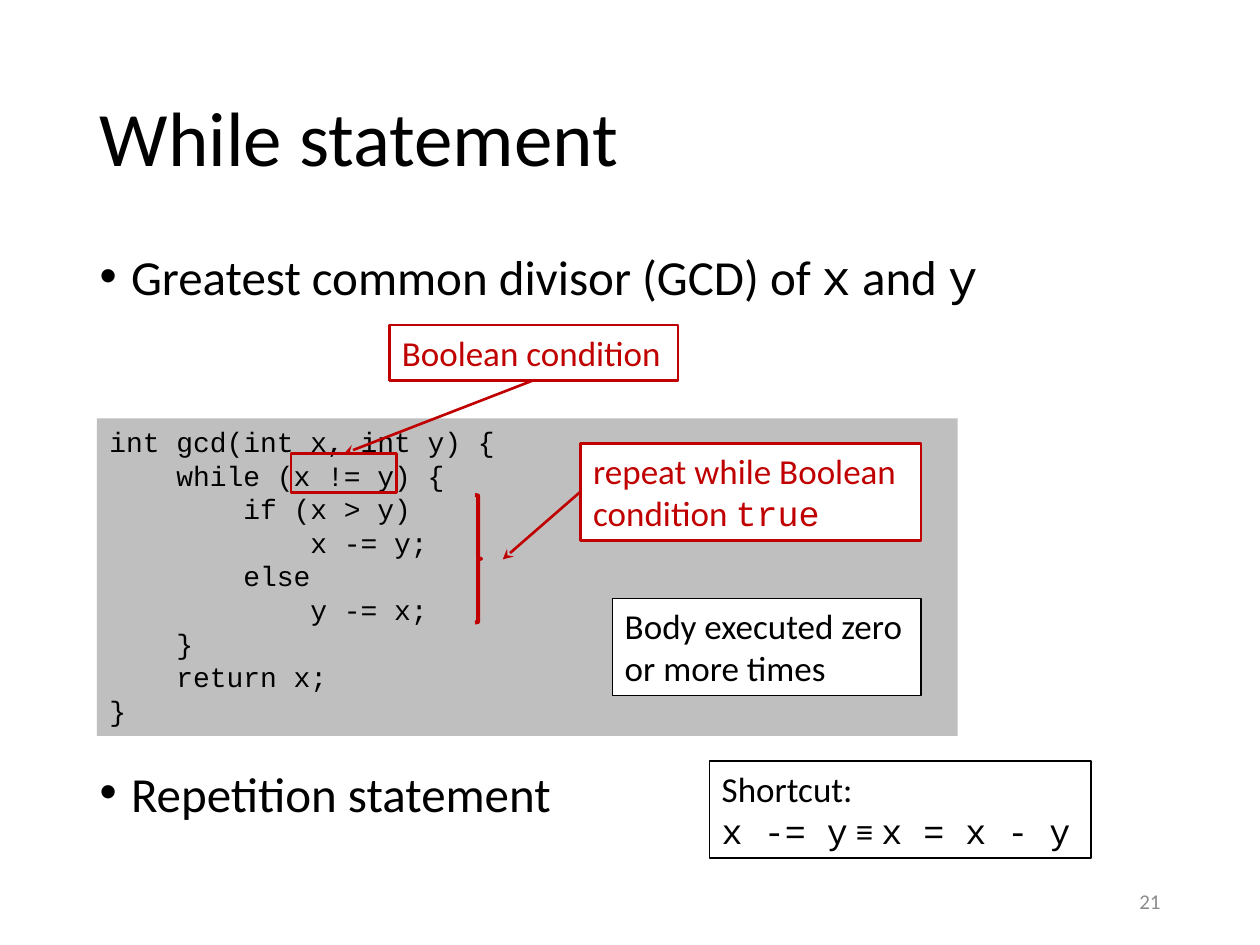
"""Build the slide that explains the while statement."""
import dataclasses
from typing import Any, Optional

import pptx
import pptx.dml.color
import pptx.enum.shapes
import pptx.enum.text
import pptx.oxml
import pptx.oxml.ns
import pptx.util

Inches = pptx.util.Inches
Shape = pptx.enum.shapes.MSO_SHAPE
Anchor = pptx.enum.text.MSO_ANCHOR
Align = pptx.enum.text.PP_ALIGN
Color = pptx.dml.color.RGBColor

BLACK = Color(0x00, 0x00, 0x00)
WHITE = Color(0xFF, 0xFF, 0xFF)
RED = Color(0xC0, 0x00, 0x00)
CODE_GRAY = Color(0xBF, 0xBF, 0xBF)
NUMBER_GRAY = Color(0x8C, 0x8C, 0x8C)
SANS = "Calibri"
MONO = "Courier New"
CODE = """int gcd(int x, int y) {
    while (x != y) {
        if (x > y)
            x -= y;
        else
            y -= x;
    }
    return x;
}"""


@dataclasses.dataclass(frozen=True)
class Span:
    """Text set in one font."""
    text: str
    font: str = SANS


@dataclasses.dataclass(frozen=True)
class Box:
    """A preset shape with its place, look and text."""
    place: tuple[float, float, float, float]
    paras: tuple[tuple[Span, ...], ...] = ()
    fill: Optional[Color] = None
    line: Optional[Color] = None
    weight: float = 1.5
    size: float = 20
    color: Color = RED
    kind: Any = Shape.RECTANGLE


@dataclasses.dataclass(frozen=True)
class Arrow:
    """A red arrow between two points."""
    start: tuple[float, float]
    end: tuple[float, float]


BOXES = (
    Box((0.77, 3.32, 6.83, 2.52), tuple((Span(row, MONO),) for row in CODE.split("\n")),
        fill=CODE_GRAY, size=16, color=BLACK),
    Box((3.09, 2.58, 2.29, 0.44), ((Span("Boolean condition"),),), fill=WHITE, line=RED),
    Box((2.31, 3.6, 0.84, 0.31), line=RED),
    Box((3.77, 3.93, 0.05, 1.01), line=RED, weight=2.25, kind=Shape.RIGHT_BRACE),
    Box((4.61, 3.52, 2.7, 0.77),
        ((Span("repeat while Boolean condition "), Span("true", MONO)),), fill=WHITE, line=RED),
    Box((4.86, 4.75, 2.45, 0.77), ((Span("Body executed zero or more times"),),),
        fill=WHITE, line=BLACK, weight=0.75, color=BLACK),
    Box((5.63, 6.04, 3.03, 0.77),
        ((Span("Shortcut:"),), (Span("x -= y", MONO), Span(" ≡ "), Span("x = x - y", MONO))),
        line=BLACK, weight=0.75, color=BLACK),
)
ARROWS = (Arrow((4.23, 3.02), (2.73, 3.6)), Arrow((4.61, 3.9), (3.99, 4.44)))


def write(frame: Any, paras: tuple[tuple[Span, ...], ...], *, size: float,
          color: Color = BLACK, align: Any = Align.LEFT, anchor: Any = Anchor.TOP,
          spacing: float = 1.0, gap: float = 0, hanging: float = 0) -> None:
    """Fill a text frame with formatted paragraphs."""
    frame.word_wrap = True
    frame.auto_size = pptx.enum.text.MSO_AUTO_SIZE.NONE
    frame.vertical_anchor = anchor
    for index, spans in enumerate(paras):
        para = frame.add_paragraph() if index else frame.paragraphs[0]
        para.alignment = align
        para.line_spacing = spacing
        para.space_before = pptx.util.Pt(gap if index else 0)
        if hanging:
            properties = para._p.get_or_add_pPr()
            properties.set("marL", str(Inches(hanging)))
            properties.set("indent", str(Inches(-hanging)))
        for span in spans:
            run = para.add_run()
            run.text = span.text
            run.font.name = span.font
            run.font.size = pptx.util.Pt(size)
            run.font.color.rgb = color


def move(shape: Any, place: tuple[float, float, float, float]) -> None:
    """Set the position and size of a shape."""
    shape.left, shape.top, shape.width, shape.height = map(Inches, place)


def draw_box(slide: Any, box: Box) -> None:
    """Draw a box with its text."""
    shape = slide.shapes.add_shape(box.kind, *map(Inches, box.place))
    shape.shadow.inherit = False
    if box.fill is None:
        shape.fill.background()
    else:
        shape.fill.solid()
        shape.fill.fore_color.rgb = box.fill
    if box.line is None:
        shape.line.fill.background()
    else:
        shape.line.color.rgb = box.line
        shape.line.width = pptx.util.Pt(box.weight)
    if box.paras:
        write(shape.text_frame, box.paras, size=box.size, color=box.color)


def draw_arrow(slide: Any, arrow: Arrow) -> None:
    """Draw a straight arrow with a stealth head."""
    connector = slide.shapes.add_connector(
        pptx.enum.shapes.MSO_CONNECTOR.STRAIGHT, *map(Inches, arrow.start + arrow.end))
    connector.line.color.rgb = RED
    connector.line.width = pptx.util.Pt(1.5)
    namespace = pptx.oxml.ns.nsdecls("a")
    connector.line._get_or_add_ln().append(
        pptx.oxml.parse_xml(f'<a:tailEnd {namespace} type="stealth"/>'))
    connector._element.spPr.append(pptx.oxml.parse_xml(f"<a:effectLst {namespace}/>"))


def main() -> None:
    """Create and save the deck."""
    deck = pptx.Presentation()
    deck.slide_width, deck.slide_height = Inches(10), Inches(7.5)
    slide = deck.slides.add_slide(deck.slide_layouts[1])
    title, body = slide.placeholders
    move(title, (0.69, 0.4, 8.62, 1.45))
    write(title.text_frame, ((Span("While statement"),),), size=44,
          anchor=Anchor.MIDDLE, spacing=0.9)
    move(body, (0.69, 2, 8.62, 4.76))
    topic = (Span("Greatest common divisor (GCD) of "), Span("x", MONO),
             Span(" and "), Span("y", MONO))
    write(body.text_frame, (topic, (Span("Repetition statement"),)), size=28,
          spacing=0.8, gap=268, hanging=0.25)
    number = slide.shapes.add_textbox(*map(Inches, (7.06, 6.95, 2.25, 0.4)))
    write(number.text_frame, ((Span("21"),),), size=12, color=NUMBER_GRAY,
          align=Align.RIGHT, anchor=Anchor.MIDDLE)
    for box in BOXES:
        draw_box(slide, box)
    for arrow in ARROWS:
        draw_arrow(slide, arrow)
    deck.save("out.pptx")


if __name__ == "__main__":
    main()
